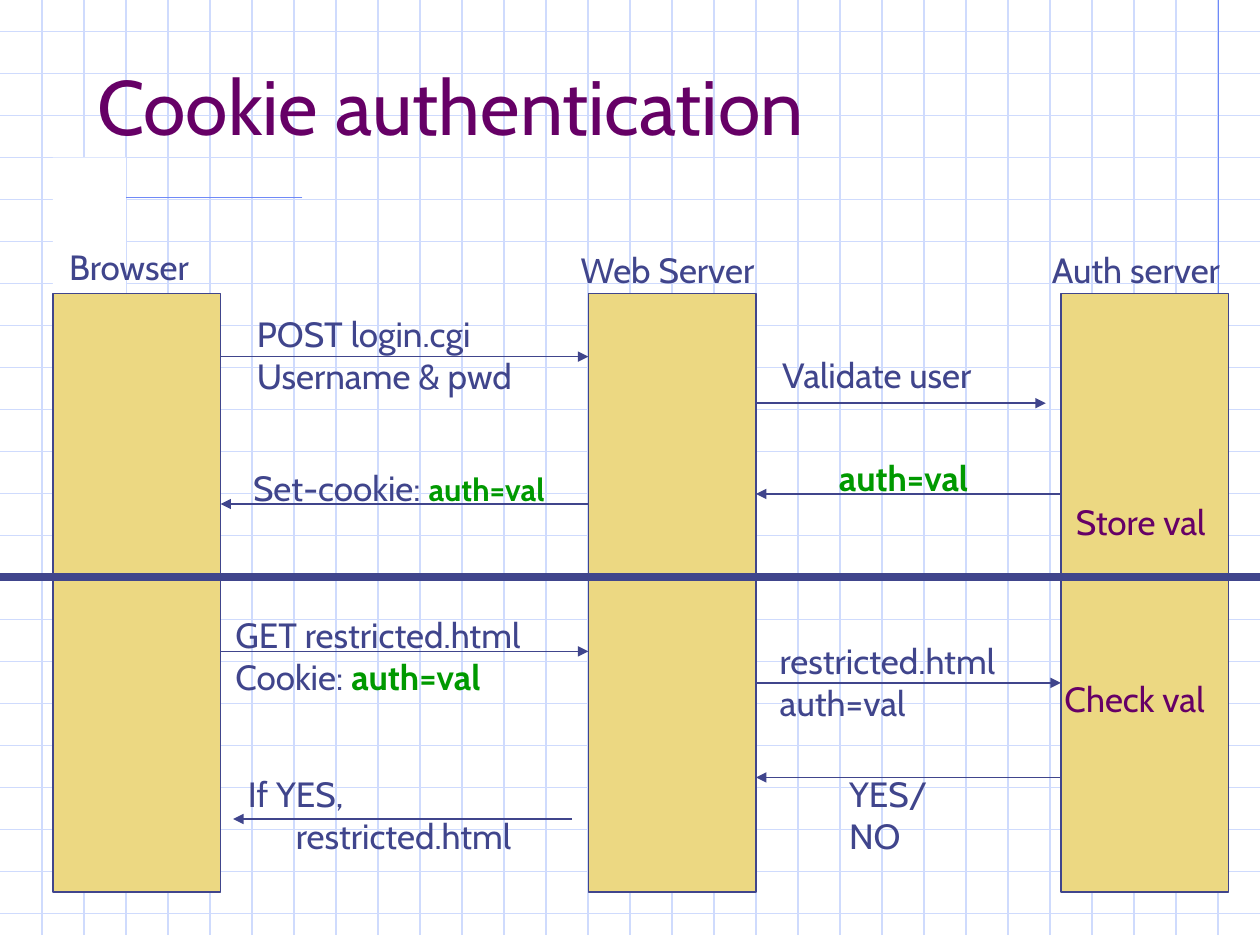
from dataclasses import dataclass

from lxml import etree
from pptx import Presentation
from pptx.dml.color import RGBColor
from pptx.enum.shapes import MSO_CONNECTOR, MSO_SHAPE
from pptx.enum.text import MSO_ANCHOR, PP_ALIGN
from pptx.oxml.ns import qn
from pptx.util import Inches, Pt

STRAIGHT = MSO_CONNECTOR.STRAIGHT
RECT = MSO_SHAPE.RECTANGLE
TOP, BOTTOM = MSO_ANCHOR.TOP, MSO_ANCHOR.BOTTOM
LEFT = PP_ALIGN.LEFT


@dataclass(frozen=True)
class Theme:
    font: str = "Cabin"
    ink: str = "40458C"
    purple: str = "660066"
    green: str = "009900"
    box: str = "ECD882"
    paper: str = "FFFFFF"
    grid: str = "CFDBFD"
    accent: str = "6F89F7"
    title: int = 44
    body: int = 20
    small: int = 18


T = Theme()
INK = {"size": T.body, "color": T.ink}
PURPLE = {"size": T.body, "color": T.purple}
TOKEN = {"size": T.body, "color": T.green, "bold": True}
SMALL_TOKEN = {**TOKEN, "size": T.small}

BOX_TOP, BOX_W, BOX_H = 2.33, 1.33, 4.75
BROWSER, WEB, AUTH = 0.42, 4.67, 8.42
BROWSER_EDGE, WEB_EDGE = 1.75, 6
STEP = 1 / 3

ARROWS = [
    (BROWSER_EDGE, WEB, 2.83),
    (WEB_EDGE, 8.3, 3.2),
    (AUTH, WEB_EDGE, 3.92),
    (WEB, BROWSER_EDGE, 4),
    (BROWSER_EDGE, WEB, 5.17),
    (WEB_EDGE, AUTH, 5.42),
    (AUTH, WEB_EDGE, 6.17),
    (4.54, 1.85, 6.5),
]

LABELS = [
    ((0.45, 1.9, 1.29, 0.44), [[("Browser", INK)]]),
    ((4.51, 1.92, 1.69, 0.44), [[("Web Server", INK)]]),
    ((8.25, 1.92, 1.71, 0.44), [[("Auth server", INK)]]),
    ((1.94, 2.43, 2.46, 0.77), [[("POST login.cgi", INK)], [("Username & pwd", INK)]]),
    ((6.11, 2.76, 1.9, 0.44), [[("Validate user", INK)]]),
    ((6.56, 3.57, 1.42, 0.44), [[("auth=val", TOKEN)]]),
    ((8.44, 3.92, 1.33, 0.44), [[("Store val", PURPLE)]]),
    ((1.91, 3.65, 2.79, 0.44), [[("Set-cookie: ", INK), ("auth=val", SMALL_TOKEN)]]),
    ((1.77, 4.82, 2.72, 0.77),
     [[("GET restricted.html", INK)], [("Cookie: ", INK), ("auth=val", TOKEN)]]),
    ((6.09, 5.03, 2.13, 0.77), [[("restricted.html", INK)], [("auth=val", INK)]]),
    ((6.64, 6.08, 1.1, 0.77), [[("YES/NO", INK)]]),
    ((8.35, 5.33, 1.43, 0.44), [[("Check val", PURPLE)]]),
]
REPLY = ((1.87, 6.08, 2.57, 0.77), [[("If YES,", INK)], [("restricted.html", INK)]])


def rgb(value):
    return RGBColor.from_string(value)


def add_line(s, start, end, color=T.ink, width=1, arrow=False):
    line = s.shapes.add_connector(STRAIGHT, *(Inches(v) for v in (*start, *end)))
    line.line.color.rgb = rgb(color)
    line.line.width = Pt(width)
    if arrow:
        ln = line.line._get_or_add_ln()
        etree.SubElement(ln, qn("a:tailEnd"), type="triangle")
    etree.SubElement(line._element.spPr, qn("a:effectLst"))


def add_box(s, at, fill, outline=None):
    sp = s.shapes.add_shape(RECT, *map(Inches, at))
    sp.shadow.inherit = False
    sp.fill.solid()
    sp.fill.fore_color.rgb = rgb(fill)
    if outline:
        sp.line.color.rgb = rgb(outline)
        sp.line.width = Pt(1)
    else:
        sp.line.fill.background()


def add_run(p, text, style):
    r = p.add_run()
    r.text = text
    r.font.color.rgb = rgb(style["color"])
    values = {"name": T.font, "size": Pt(style["size"]), "bold": style.get("bold", False)}
    for key, value in values.items():
        setattr(r.font, key, value)


def add_label(s, at, lines):
    tf = s.shapes.add_textbox(*map(Inches, at)).text_frame
    for key, value in {"word_wrap": True, "vertical_anchor": TOP}.items():
        setattr(tf, key, value)
    for i, runs in enumerate(lines):
        p = tf.add_paragraph() if i else tf.paragraphs[0]
        for text, style in runs:
            add_run(p, text, style)
    return tf


def add_grid(s):
    for i in range(22):
        y = 0.25 + i * STEP
        add_line(s, (0, y), (10, y), T.grid, 0.75)
    for i in range(1, 30):
        x = i * STEP
        add_line(s, (x, -0.08), (x, 7.42), T.grid, 0.75)
    add_line(s, (9.67, -0.08), (9.67, 2.5), T.accent, 0.75)
    add_line(s, (2.4, 1.57), (0.45, 1.57), T.accent, 0.75)
    add_box(s, (BROWSER, 1.25, 0.58, 1.08), T.paper)


def add_title(s, text):
    sp = s.shapes.title
    box = {"left": 0.67, "top": 0.33, "width": 8.5, "height": 0.92}
    for key, value in box.items():
        setattr(sp, key, Inches(value))
    tf = sp.text_frame
    tf.vertical_anchor = BOTTOM
    p = tf.paragraphs[0]
    p.alignment = LEFT
    add_run(p, text, {"size": T.title, "color": T.purple})
    s.shapes._spTree.append(sp._element)


def main():
    prs = Presentation()
    prs.slide_width, prs.slide_height = Inches(10), Inches(7.5)
    s = prs.slides.add_slide(prs.slide_layouts[5])
    add_grid(s)
    add_title(s, "Cookie authentication")
    for x in (BROWSER, WEB, AUTH):
        add_box(s, (x, BOX_TOP, BOX_W, BOX_H), T.box, T.ink)
    add_line(s, (0, 4.58), (10, 4.58), width=4.5)
    for start, end, y in ARROWS:
        add_line(s, (start, y), (end, y), arrow=True)
    for at, lines in LABELS:
        add_label(s, at, lines)
    tf = add_label(s, *REPLY)
    tf.paragraphs[1]._p.get_or_add_pPr().set("marL", str(Inches(0.38)))
    prs.save("out.pptx")


if __name__ == "__main__":
    main()
